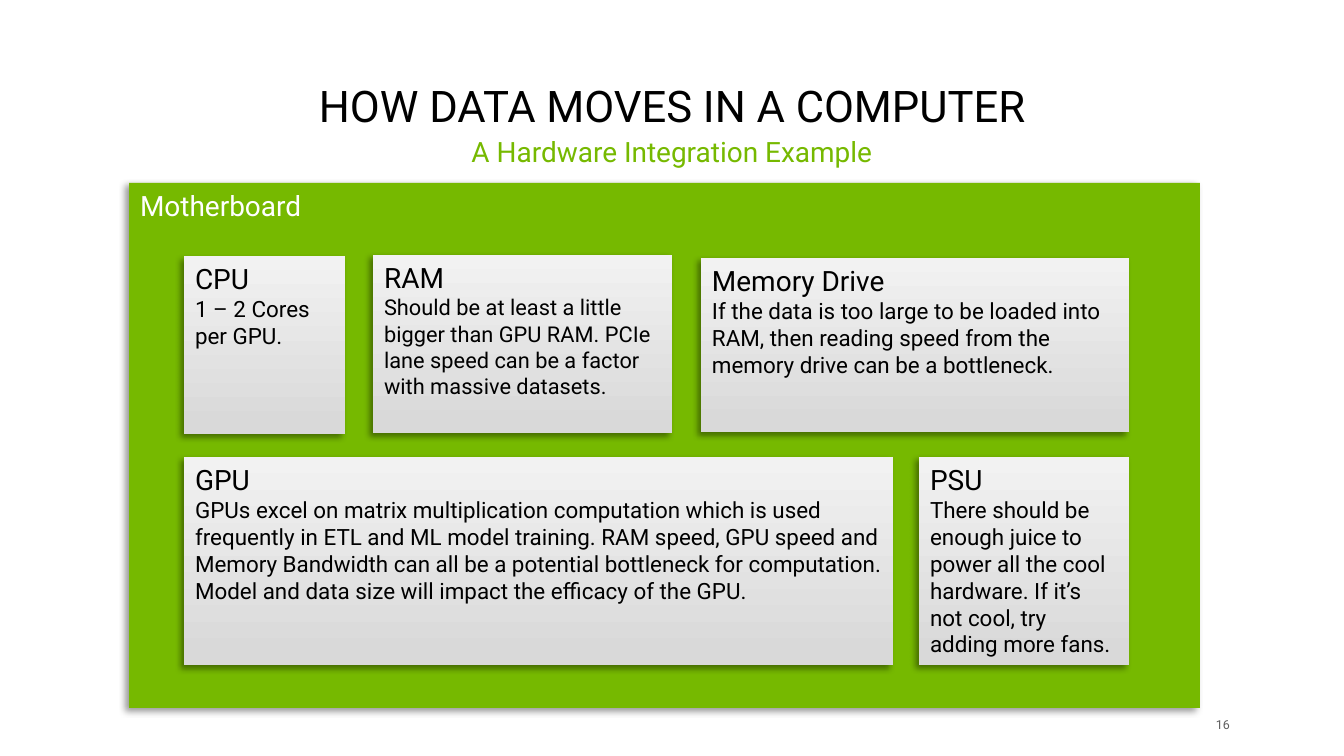
from lxml import etree
from pptx import Presentation
from pptx.dml.color import RGBColor
from pptx.enum.shapes import MSO_SHAPE
from pptx.enum.text import MSO_ANCHOR, PP_ALIGN
from pptx.oxml.ns import qn
from pptx.util import Emu, Pt

RECT = MSO_SHAPE.RECTANGLE
TOP, MIDDLE, BOTTOM = MSO_ANCHOR.TOP, MSO_ANCHOR.MIDDLE, MSO_ANCHOR.BOTTOM
LEFT, CENTER, RIGHT = PP_ALIGN.LEFT, PP_ALIGN.CENTER, PP_ALIGN.RIGHT

BLACK = RGBColor(0x00, 0x00, 0x00)
WHITE = RGBColor(0xFF, 0xFF, 0xFF)
GREEN = RGBColor(0x76, 0xB9, 0x00)
GRAY = RGBColor(0x5E, 0x5E, 0x5E)
PALE = RGBColor(0xF2, 0xF2, 0xF2)
SILVER = RGBColor(0xD9, 0xD9, 0xD9)

FONT = "Roboto"
SCALE = 914400 / 112

PARTS = [
    ((55, 73, 161, 178), "CPU", "1 – 2 Cores per GPU.", 14.4),
    ((244, 72, 299, 178), "RAM",
     "Should be at least a little bigger than GPU RAM. PCIe lane speed "
     "can be a factor with massive datasets.", 14),
    ((572, 75, 428, 174), "Memory Drive",
     "If the data is too large to be loaded into RAM, then reading speed "
     "from the memory drive can be a bottleneck.", 14.4),
    ((55, 274, 709, 208), "GPU",
     "GPUs excel on matrix multiplication computation which is used "
     "frequently in ETL and ML model training. RAM speed, GPU speed and "
     "Memory Bandwidth can all be a potential bottleneck for computation. "
     "Model and data size will impact the efficacy of the GPU.", 14.4),
    ((790, 274, 210, 208), "PSU",
     "There should be enough juice to power all the cool hardware. "
     "If it’s not cool, try adding more fans.", 14.4),
]


def px(num):
    return Emu(round(num * SCALE))


def write(frame, lines, color, align=LEFT, anchor=TOP, space=None):
    frame.word_wrap = True
    frame.vertical_anchor = anchor
    for row, (text, size) in enumerate(lines):
        para = frame.add_paragraph() if row else frame.paragraphs[0]
        para.text = text
        para.alignment = align
        para.line_spacing = space
        para.font.name = FONT
        para.font.size = Pt(size)
        para.font.color.rgb = color


def label(slide, box, text, size, color, align, anchor=TOP, space=None):
    shape = slide.shapes.add_textbox(*map(px, box))
    write(shape.text_frame, [(text, size)], color, align, anchor, space)
    return shape.text_frame


def panel(slide, box, lines, color):
    shape = slide.shapes.add_shape(RECT, *map(px, box))
    shape.line.fill.background()
    shape.shadow.inherit = False
    effects = shape.element.spPr.find(qn("a:effectLst"))
    shade = etree.SubElement(
        effects, qn("a:outerShdw"), blurRad=str(Pt(4)), dist=str(Pt(3)),
        dir="8100000", algn="tr", rotWithShape="0")
    tint = etree.SubElement(shade, qn("a:srgbClr"), val=str(BLACK))
    etree.SubElement(tint, qn("a:alpha"), val="40000")
    write(shape.text_frame, lines, color)
    return shape


def header(slide, box):
    left, top, width, height = box
    label(slide, (left, top, width, 73), "HOW DATA MOVES IN A COMPUTER",
          28, BLACK, CENTER, BOTTOM, 0.9)
    label(slide, (left, top + 69, width, height - 69),
          "A Hardware Integration Example", 18, GREEN, CENTER, space=0.9)


def part(slide, box, name, note, size):
    shape = panel(slide, box, [(name, 18), (note, size)], BLACK)
    fill = shape.fill
    fill.gradient()
    fill.gradient_angle = 270
    for stop, color, place in zip(fill.gradient_stops, (PALE, SILVER), (0, 0.95)):
        stop.color.rgb = color
        stop.position = place


def board(slide, box):
    shape = panel(slide, box, [("Motherboard", 18)], WHITE)
    shape.fill.solid()
    shape.fill.fore_color.rgb = GREEN
    left, top = box[:2]
    for (dx, dy, width, height), name, note, size in PARTS:
        part(slide, (left + dx, top + dy, width, height), name, note, size)


def footer(slide, box):
    frame = label(slide, box, "16", 8, GRAY, RIGHT, MIDDLE)
    frame.margin_left = frame.margin_right = 0
    frame.margin_top = frame.margin_bottom = 0


def main():
    deck = Presentation()
    deck.slide_width, deck.slide_height = px(1344), px(756)
    slide = deck.slides.add_slide(deck.slide_layouts[6])
    footer(slide, (1191, 715, 39, 20))
    board(slide, (129, 183, 1071, 525))
    header(slide, (61, 64, 1222, 133))
    deck.save("out.pptx")


if __name__ == "__main__":
    main()
